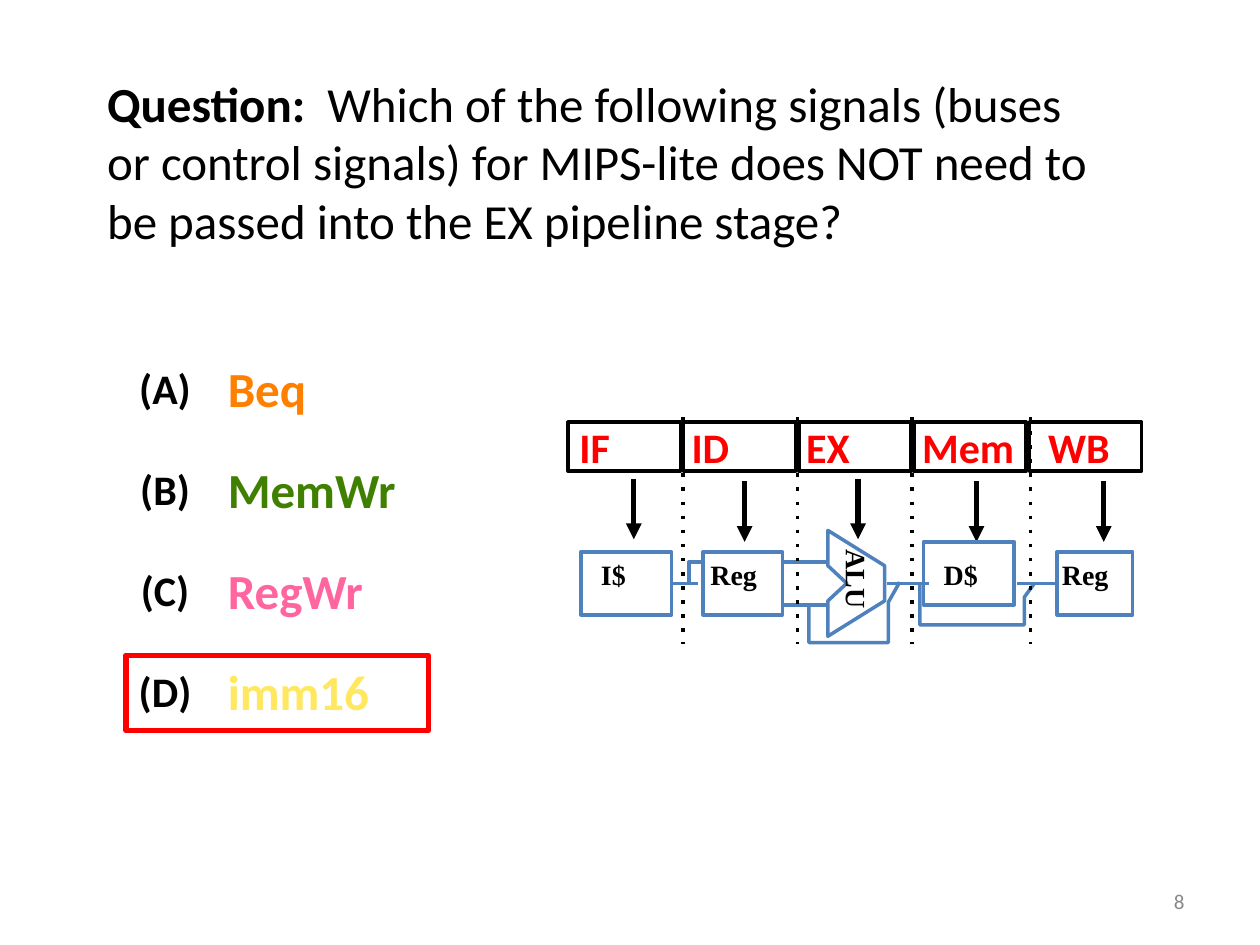
import dataclasses

import lxml.etree
import pptx
import pptx.dml.color
import pptx.enum.shapes
import pptx.enum.text
import pptx.oxml.ns
import pptx.util
from pptx.util import Inches

ALIGN = pptx.enum.text.PP_ALIGN
ANCHOR = pptx.enum.text.MSO_ANCHOR


@dataclasses.dataclass(frozen=True)
class Theme:
    """Fonts, colours, type sizes and line widths of the slide."""
    body: str = "Calibri"
    unit: str = "Times New Roman"
    ink: str = "000000"
    wire: str = "4F81BD"
    accent: str = "FF0000"
    muted: str = "888888"
    big: int = 28
    label: int = 24
    small: int = 16
    number: int = 12
    thin: int = 2
    thick: int = 3


@dataclasses.dataclass(frozen=True)
class Box:
    """A rectangle in inches."""
    x: float
    y: float
    w: float
    h: float

    def inner(self, x, y, w, h):
        """Return a box placed relative to this one."""
        return Box(self.x + x, self.y + y, w, h)

    def point(self, x, y):
        """Return a slide position for a point relative to this box."""
        return Inches(self.x + x), Inches(self.y + y)

    def emu(self):
        """Return left, top, width and height as lengths."""
        return tuple(Inches(v) for v in (self.x, self.y, self.w, self.h))


T = Theme()


def rgb(color):
    """Turn a hex string into a colour."""
    return pptx.dml.color.RGBColor.from_string(color)


def style_font(font, size, color, bold=True, name=T.body):
    """Set every font property in use."""
    font.name, font.size, font.bold = name, pptx.util.Pt(size), bold
    font.color.rgb = rgb(color)


def add_text(s, box, text, size, color, bold=True, name=T.body,
             align=ALIGN.LEFT, anchor=ANCHOR.TOP, wrap=True, indent=0.1):
    """Add a one-paragraph text box."""
    sp = s.shapes.add_textbox(*box.emu())
    tf = sp.text_frame
    tf.word_wrap, tf.vertical_anchor = wrap, anchor
    tf.margin_left = Inches(indent)
    p = tf.paragraphs[0]
    p.text, p.alignment = text, align
    style_font(p.font, size, color, bold, name)
    return sp


def outline(sp, color, width):
    """Leave a shape with its outline only."""
    sp.shadow.inherit = False
    sp.fill.background()
    sp.line.color.rgb, sp.line.width = rgb(color), pptx.util.Pt(width)


def add_frame(s, box, color, width):
    """Add an unfilled rectangle."""
    kind = pptx.enum.shapes.MSO_SHAPE.RECTANGLE
    outline(s.shapes.add_shape(kind, *box.emu()), color, width)


def add_path(s, box, points, close=False):
    """Add a wire-coloured outline through points relative to the box."""
    start, *rest = [box.point(x, y) for x, y in points]
    fb = s.shapes.build_freeform(*start)
    fb.add_line_segments(rest, close=close)
    outline(fb.convert_to_shape(), T.wire, T.thin)


def add_line(s, box, start, end, color, width, extra=None, value=None):
    """Add a straight line with an optional dash or arrowhead element."""
    kind = pptx.enum.shapes.MSO_CONNECTOR.STRAIGHT
    cn = s.shapes.add_connector(kind, *box.point(*start), *box.point(*end))
    cn.line.color.rgb, cn.line.width = rgb(color), pptx.util.Pt(width)
    qn = pptx.oxml.ns.qn
    if extra:
        ln = cn.line._get_or_add_ln()
        key = "val" if extra == "a:prstDash" else "type"
        lxml.etree.SubElement(ln, qn(extra)).set(key, value)
    lxml.etree.SubElement(cn._element.spPr, qn("a:effectLst"))


def question(s, box):
    """Fill the title placeholder with the question."""
    sp = s.shapes.title
    sp.left, sp.top, sp.width, sp.height = box.emu()
    tf = sp.text_frame
    tf.word_wrap, tf.vertical_anchor = True, ANCHOR.TOP
    tf.auto_size = pptx.enum.text.MSO_AUTO_SIZE.NONE
    p = tf.paragraphs[0]
    p.alignment = ALIGN.LEFT
    style_font(p.font, T.big, T.ink, False)
    r = p.add_run()
    r.text, r.font.bold = "Question:  ", True
    p.add_run().text = ("Which of the following signals (buses or control signals) for "
                        "MIPS-lite does NOT need to be passed into the EX pipeline stage?")


def options(s, box, answers, correct):
    """Stack lettered answers and frame the correct one."""
    pitch = box.h / len(answers)
    for i, (letter, answer, color) in enumerate(answers):
        y = i * pitch
        add_text(s, box.inner(0.71, y, 2, 0.57), answer, T.big, color)
        add_text(s, box.inner(0, y + 0.03, 0.62, 0.5), f"({letter})", T.label,
                 T.ink, align=ALIGN.CENTER, wrap=False)
        if letter == correct:
            add_frame(s, box.inner(0, y, box.w, 0.6), T.accent, T.thick)


def stage_header(s, box):
    """Draw the stage names with arrows down to their units."""
    stages = [("IF", 0, 0.44, 0.53, 0.5), ("ID", 0.89, 0.5, 1.41, 0.52),
              ("EX", 1.8, 0.55, 2.31, 0.5), ("Mem", 2.72, 0.94, 3.25, 0.52),
              ("WB", 3.72, 0.69, 4.26, 0.52)]
    for i, (name, x, w, arrow_x, arrow_y) in enumerate(stages):
        add_frame(s, box.inner(0.01 + 0.915 * i, 0.05, 0.89, 0.39), T.ink, T.thin)
        add_text(s, box.inner(x, 0, w, 0.5), name, T.label, T.accent, wrap=False)
        add_line(s, box, (arrow_x, arrow_y), (arrow_x, arrow_y + 0.48),
                 T.ink, T.thick, "a:tailEnd", "triangle")


def storage_unit(s, box, name, text_box, indent):
    """Draw a memory or register file as two halves with its name."""
    for edge in (0, box.w):
        add_path(s, box, [(box.w / 2, 0), (edge, 0), (edge, box.h), (box.w / 2, box.h)])
    add_text(s, text_box, name, T.small, T.ink, name=T.unit, wrap=False, indent=indent)


def datapath(s, box):
    """Draw the units, the ALU and the wires between them."""
    units = [("I$", 0.11, 1.08, 0.72, 0.06, 0.51, 0.21),
             ("Reg", 1.08, 1.08, 0.63, 1.04, 0.57, 0.1),
             ("D$", 2.83, 1, 0.72, 2.78, 0.58, 0.21),
             ("Reg", 3.89, 1.08, 0.6, 3.83, 0.57, 0.1)]
    for name, x, y, w, text_x, text_w, indent in units:
        storage_unit(s, box.inner(x, y, w, 0.5), name,
                     box.inner(text_x, 1.08, text_w, 0.36), indent)
    add_path(s, box, [(2.07, 1.47), (2.22, 1.33), (2.07, 1.19), (2.07, 0.91),
                      (2.52, 1.19), (2.52, 1.47), (2.07, 1.75)], close=True)
    alu = add_text(s, box.inner(1.97, 1.12, 0.67, 0.36), "ALU", T.small, T.ink,
                   name=T.unit, wrap=False)
    alu.rotation = 90
    for x1, x2, y in [(0.84, 1.04, 1.33), (1.72, 2.06, 1.16), (1.72, 2.06, 1.5),
                      (2.54, 2.87, 1.33), (3.57, 3.87, 1.33)]:
        add_line(s, box, (x1, y), (x2, y), T.wire, T.thin)
    add_path(s, box, [(0.97, 1.33), (0.97, 1.16), (1.07, 1.16)])
    add_path(s, box, [(1.92, 1.5), (1.92, 1.8), (2.55, 1.8), (2.55, 1.48), (2.64, 1.32)])
    add_path(s, box, [(2.8, 1.33), (2.8, 1.66), (3.63, 1.66), (3.63, 1.44), (3.71, 1.33)])


def pipeline(s, box):
    """Draw the five-stage pipeline with its dotted boundaries."""
    stage_header(s, box)
    datapath(s, box)
    for x in (0.92, 1.83, 2.74, 3.68):
        add_line(s, box, (x, 0.01), (x, box.h), T.ink, T.thin, "a:prstDash", "dot")


def main():
    """Build and save the slide."""
    prs = pptx.Presentation()
    prs.slide_width, prs.slide_height = Inches(10), Inches(7.5)
    s = prs.slides.add_slide(prs.slide_layouts[5])
    question(s, Box(0.75, 0.53, 8, 1.51))
    options(s, Box(1, 2.8, 2.4, 3.2),
            [("A", "Beq", "FF8000"), ("B", "MemWr", "408000"),
             ("C", "RegWr", "FF66A0"), ("D", "imm16", "FFE860")], "D")
    pipeline(s, Box(4.5, 3.3, 4.56, 1.81))
    add_text(s, Box(7.17, 6.95, 2.33, 0.4), "8", T.number, T.muted, False,
             align=ALIGN.RIGHT, anchor=ANCHOR.MIDDLE)
    prs.save("out.pptx")


if __name__ == "__main__":
    main()
